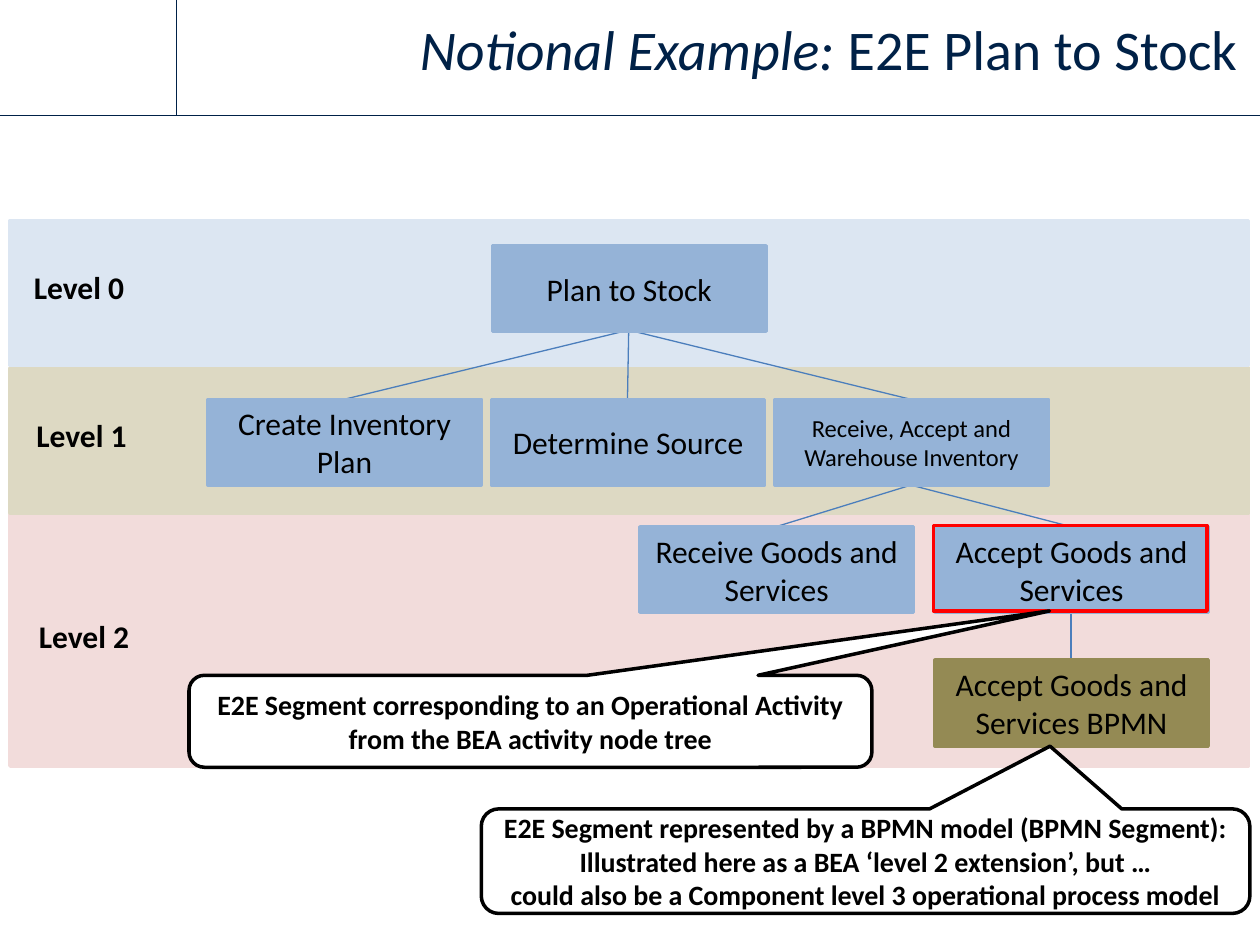
import pptx
import pptx.util
import pptx.dml.color
import pptx.enum.shapes
import pptx.enum.text
import pptx.oxml.ns
from lxml import etree

RGB = pptx.dml.color.RGBColor
SHAPE = pptx.enum.shapes.MSO_SHAPE
ALIGN = pptx.enum.text.PP_ALIGN
ANCHOR = pptx.enum.text.MSO_ANCHOR
Pt = pptx.util.Pt

NAVY = RGB(0x00, 0x21, 0x47)
BLACK = RGB(0, 0, 0)
WHITE = RGB(0xFF, 0xFF, 0xFF)
RED = RGB(0xFF, 0, 0)
BLUE = RGB(0x95, 0xB3, 0xD7)
OLIVE = RGB(0x94, 0x8A, 0x54)
LINK = RGB(0x4B, 0x7E, 0xBC)
PALE_BLUE = RGB(0xDC, 0xE6, 0xF2)
TAN = RGB(0xDD, 0xD9, 0xC3)
PINK = RGB(0xF2, 0xDC, 0xDB)

# Square grid: 100 columns by 75 rows
WIDTH, HEIGHT = pptx.util.Inches(10), pptx.util.Inches(7.5)
CELL = WIDTH / 100
BOX_W, BOX_H = 21.7, 6.8
ROWS = (19.5, 31.7, 41.8, 52.4)  # tops of the box rows


def grid(*cells):
    return [round(c * CELL) for c in cells]


def style_text(p, size, color=BLACK, bold=False, align=ALIGN.CENTER):
    p.alignment = align
    p.font.name, p.font.size, p.font.bold = "Calibri", Pt(size), bold
    p.font.color.rgb = color


def add_block(s, at, fill, line, lines=(), size=18, bold=False, kind=SHAPE.RECTANGLE):
    sp = s.shapes.add_shape(kind, *grid(*at))
    sp.shadow.inherit = False
    if fill is None:
        sp.fill.background()
    else:
        sp.fill.solid()
        sp.fill.fore_color.rgb = fill
    sp.line.color.rgb = line
    sp.line.width = Pt(2)
    tf = sp.text_frame
    tf.word_wrap = True
    tf.vertical_anchor = ANCHOR.MIDDLE
    for i, text in enumerate(lines):
        p = tf.paragraphs[0] if i == 0 else tf.add_paragraph()
        p.text = text
        style_text(p, size, bold=bold)
    return sp


def add_box(s, left, row, text, fill=BLUE, size=18):
    add_block(s, (left, ROWS[row], BOX_W, BOX_H), fill, fill, [text], size)


def add_callout(s, at, tip, lines):
    sp = add_block(s, at, WHITE, BLACK, lines, 16, True,
                   SHAPE.ROUNDED_RECTANGULAR_CALLOUT)
    sp.adjustments[0], sp.adjustments[1] = tip


def add_line(s, start, end, color, width):
    c = s.shapes.add_connector(pptx.enum.shapes.MSO_CONNECTOR.STRAIGHT,
                               *grid(*start, *end))
    c.line.color.rgb = color
    c.line.width = Pt(width)
    etree.SubElement(c._element.spPr, pptx.oxml.ns.qn("a:effectLst"))


def add_title(s):
    tf = s.shapes.add_textbox(*grid(14.7, 0.4, 84.5, 8.3)).text_frame
    tf.word_wrap = True
    tf.vertical_anchor = ANCHOR.MIDDLE
    p = tf.paragraphs[0]
    for text, italic in (("Notional Example: ", True), ("E2E Plan to Stock", False)):
        r = p.add_run()
        r.text, r.font.italic = text, italic
    style_text(p, 32, NAVY, align=ALIGN.RIGHT)
    p.line_spacing = Pt(28)


def add_label(s, left, top, text):
    tf = s.shapes.add_textbox(*grid(left, top, 9.2, 4)).text_frame
    tf.word_wrap = False
    tf.auto_size = pptx.enum.text.MSO_AUTO_SIZE.SHAPE_TO_FIT_TEXT
    p = tf.paragraphs[0]
    p.text = text
    style_text(p, 18, bold=True, align=ALIGN.LEFT)


def main():
    prs = pptx.Presentation()
    prs.slide_width, prs.slide_height = WIDTH, HEIGHT
    s = prs.slides.add_slide(prs.slide_layouts[6])

    # Header rules and title
    add_line(s, (0, 9.2), (100, 9.2), NAVY, 0.5)
    add_line(s, (14, 9.2), (14, 0), NAVY, 0.5)
    add_title(s)

    # Level bands, lowest first
    for top, height, color in ((40.8, 20, PINK), (29.2, 11.5, TAN),
                               (17.5, 11.5, PALE_BLUE)):
        add_block(s, (0.8, top, 98.3, height), color, color)

    # Links of the tree
    root, receive, accept = (49.9, 26.2), (72.3, 38.5), (85, 48.5)
    for start, end in ((root, (27.3, ROWS[1])), (root, (49.8, ROWS[1])),
                       (root, (72.3, ROWS[1])), (receive, (61.6, ROWS[2])),
                       (receive, (85, ROWS[2])), (accept, (85, ROWS[3]))):
        add_line(s, start, end, LINK, 0.75)

    # Boxes of the tree
    add_box(s, 39.1, 0, "Plan to Stock")
    add_box(s, 16.5, 1, "Create Inventory Plan")
    add_box(s, 39, 1, "Determine Source")
    add_box(s, 61.5, 1, "Receive, Accept and Warehouse Inventory", size=14)
    add_box(s, 50.8, 2, "Receive Goods and Services")
    add_box(s, 74.2, 2, "Accept Goods and Services")
    add_box(s, 74.2, 3, "Accept Goods and Services BPMN", OLIVE)

    # Level labels
    for level, (left, top) in enumerate(((1.7, 20.8), (1.9, 32.5), (2.1, 48.5))):
        add_label(s, left, top, f"Level {level}")

    # Highlight and callouts
    add_block(s, (74.1, 41.7, BOX_W, BOX_H), None, RED)
    add_callout(s, (38.2, 64.2, 61, 8.3), (0.24, -1.1), [
        "E2E Segment represented by a BPMN model (BPMN Segment):",
        "Illustrated here as a BEA ‘level 2 extension’, but …",
        "could also be a Component level 3 operational process model"])
    add_callout(s, (15, 53.6, 54.2, 7.3), (0.76, -1.2), [
        "E2E Segment corresponding to an Operational Activity "
        "from the BEA activity node tree"])

    prs.save("out.pptx")


if __name__ == "__main__":
    main()
